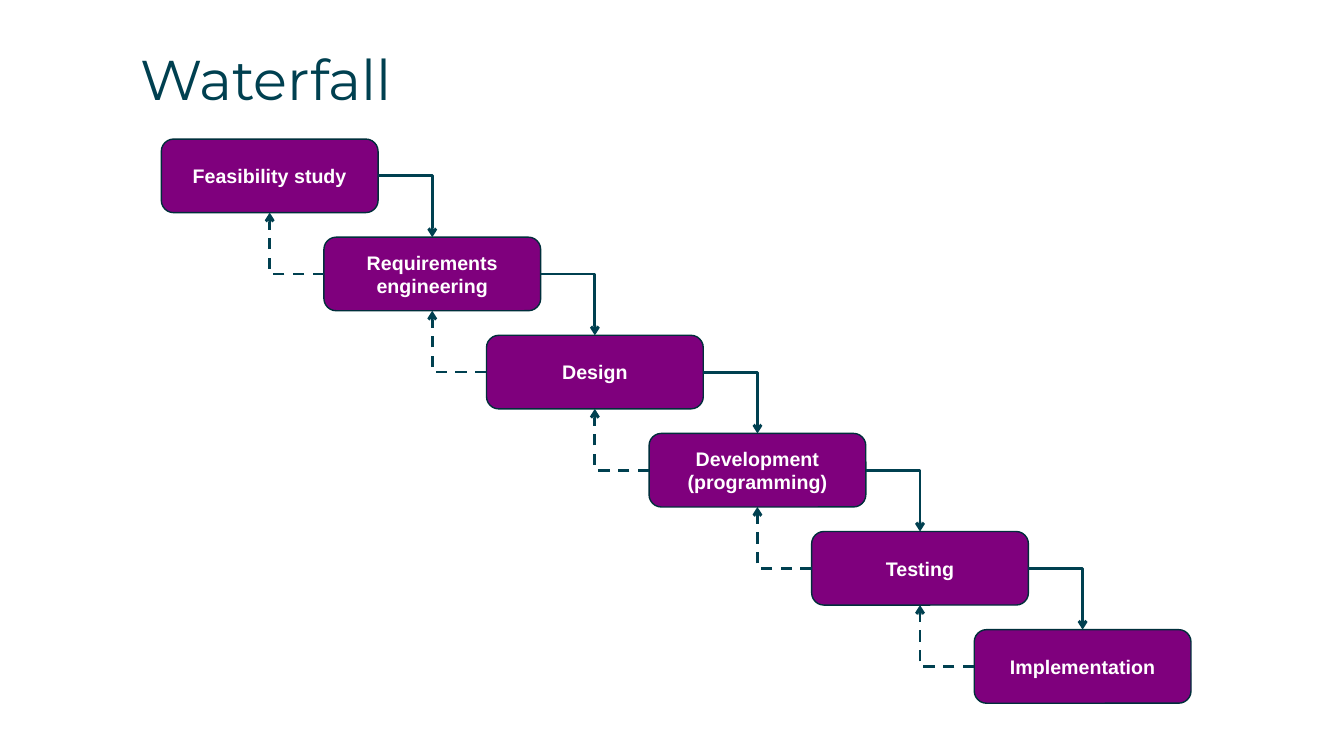
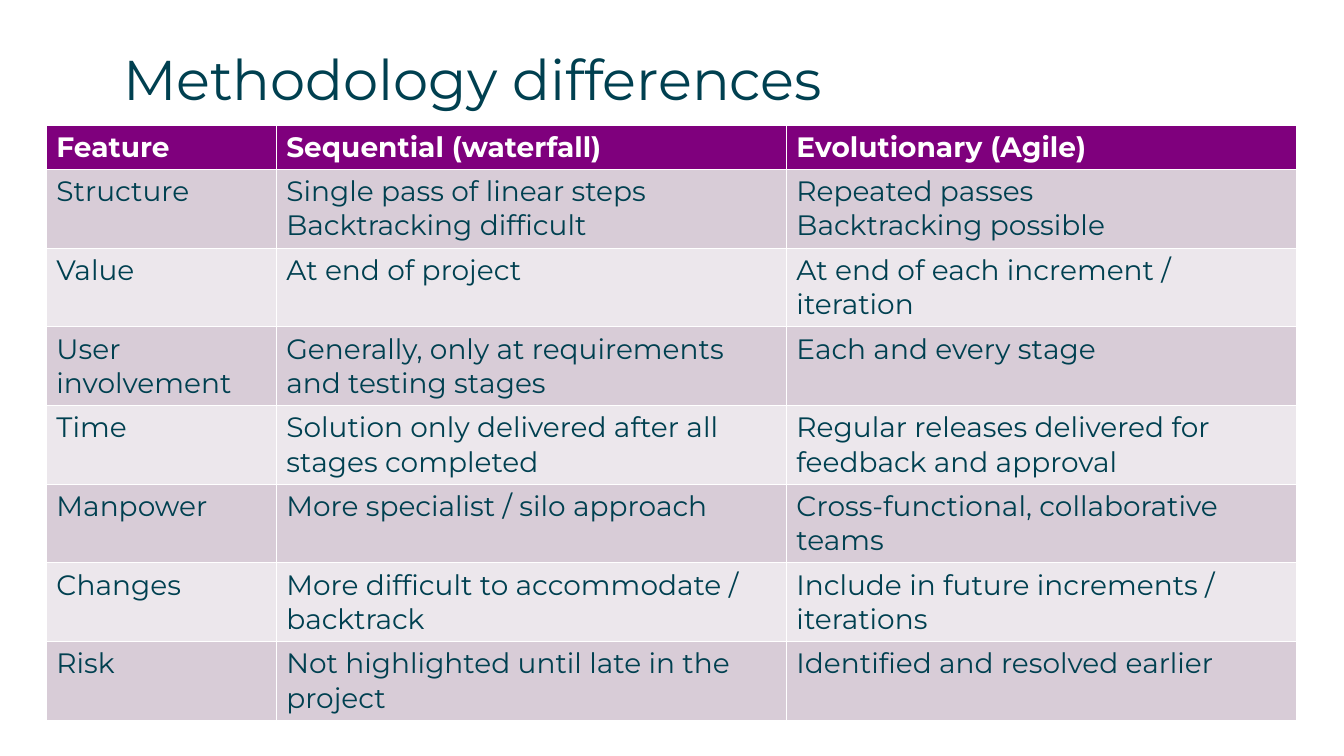
"""Build two slides comparing waterfall and evolutionary project methods."""
import dataclasses
import itertools

import lxml.etree
import pptx
import pptx.dml.color
import pptx.enum.dml
import pptx.enum.shapes
import pptx.enum.text
import pptx.oxml.ns
import pptx.util

Inches = pptx.util.Inches
Pt = pptx.util.Pt
RGB = pptx.dml.color.RGBColor.from_string
qn = pptx.oxml.ns.qn
TOP, LEFT, BOTTOM, RIGHT = range(4)


@dataclasses.dataclass(frozen=True)
class Theme:
    ink: RGB = RGB("004050")
    accent: RGB = RGB("7F007D")
    outline: RGB = RGB("002F3B")
    white: RGB = RGB("FFFFFF")
    bands: tuple = (RGB("D8CCD7"), RGB("ECE7EC"))
    font: str = "Montserrat"
    box_font: str = "Arial"
    title_size: Pt = Pt(40)
    table_size: Pt = Pt(20)
    box_size: Pt = Pt(14)


class Deck:
    def __init__(self, theme):
        self.theme = theme
        self.prs = pptx.Presentation()
        self.prs.slide_width = Inches(13.33)
        self.prs.slide_height = Inches(7.5)
        self.slide = None

    def add_run(self, p, text, name, size, color, bold=False):
        r = p.add_run()
        r.text = text
        r.font.name = name
        r.font.size = size
        r.font.color.rgb = color
        r.font.bold = bold

    def set_margins(self, tf, margin):
        tf.margin_left = tf.margin_right = margin
        tf.margin_top = tf.margin_bottom = margin

    def add_slide(self, title, left, width):
        t = self.theme
        self.slide = self.prs.slides.add_slide(self.prs.slide_layouts[5])
        sp = self.slide.shapes.title
        sp.left, sp.top = left, Inches(0.4)
        sp.width, sp.height = width, Inches(0.75)
        tf = sp.text_frame
        tf.word_wrap = True
        tf.auto_size = pptx.enum.text.MSO_AUTO_SIZE.NONE
        tf.vertical_anchor = pptx.enum.text.MSO_ANCHOR.MIDDLE
        self.set_margins(tf, 0)
        p = tf.paragraphs[0]
        p.alignment = pptx.enum.text.PP_ALIGN.LEFT
        self.add_run(p, title, t.font, t.title_size, t.ink)

    def add_box(self, text, left, top, width, height):
        t = self.theme
        sp = self.slide.shapes.add_shape(
            pptx.enum.shapes.MSO_SHAPE.ROUNDED_RECTANGLE, left, top, width, height)
        sp.shadow.inherit = False
        sp.fill.solid()
        sp.fill.fore_color.rgb = t.accent
        sp.line.color.rgb = t.outline
        sp.line.width = Pt(1)
        tf = sp.text_frame
        tf.word_wrap = True
        tf.vertical_anchor = pptx.enum.text.MSO_ANCHOR.MIDDLE
        self.set_margins(tf, Inches(0.04))
        p = tf.paragraphs[0]
        p.alignment = pptx.enum.text.PP_ALIGN.CENTER
        self.add_run(p, text, t.box_font, t.box_size, t.white, bold=True)
        return sp

    def add_elbow(self, start, start_side, end, end_side, dashed=False):
        cxn = self.slide.shapes.add_connector(
            pptx.enum.shapes.MSO_CONNECTOR.ELBOW, 0, 0, 0, 0)
        cxn.begin_connect(start, start_side)
        cxn.end_connect(end, end_side)
        cxn.line.color.rgb = self.theme.ink
        cxn.line.width = Pt(2)
        if dashed:
            cxn.line.dash_style = pptx.enum.dml.MSO_LINE.DASH
        props = cxn._element.spPr
        props.find(qn("a:prstGeom")).set("prst", "bentConnector2")
        lxml.etree.SubElement(props.find(qn("a:ln")), qn("a:tailEnd"), type="arrow")
        lxml.etree.SubElement(props, qn("a:effectLst"))

    def add_table(self, rows, left, top, widths, header_height, row_height):
        t = self.theme
        height = header_height + row_height * (len(rows) - 1)
        table = self.slide.shapes.add_table(
            len(rows), len(widths), left, top, sum(widths), height).table
        for column, width in zip(table.columns, widths):
            column.width = width
        for i, row in enumerate(rows):
            header = i == 0
            table.rows[i].height = header_height if header else row_height
            for cell, text in zip(table.rows[i].cells, row):
                cell.fill.solid()
                cell.fill.fore_color.rgb = t.accent if header else t.bands[(i - 1) % 2]
                tf = cell.text_frame
                for n, line in enumerate(text.split("\n")):
                    p = tf.add_paragraph() if n else tf.paragraphs[0]
                    color = t.white if header else t.ink
                    self.add_run(p, line, t.font, t.table_size, color, bold=header)


STAGES = ["Feasibility study", "Requirements engineering", "Design",
          "Development (programming)", "Testing", "Implementation"]

DIFFERENCES = [
    ("Feature", "Sequential (waterfall)", "Evolutionary (Agile)"),
    ("Structure", "Single pass of linear steps\nBacktracking difficult",
     "Repeated passes\nBacktracking possible"),
    ("Value", "At end of project", "At end of each increment / iteration"),
    ("User involvement", "Generally, only at requirements and testing stages",
     "Each and every stage"),
    ("Time", "Solution only delivered after all stages completed",
     "Regular releases delivered for feedback and approval"),
    ("Manpower", "More specialist / silo approach",
     "Cross-functional, collaborative teams"),
    ("Changes", "More difficult to accommodate / backtrack",
     "Include in future increments / iterations"),
    ("Risk", "Not highlighted until late in the project",
     "Identified and resolved earlier"),
]


def add_waterfall(deck):
    deck.add_slide("Waterfall", Inches(1.39), Inches(3.98))
    width, height = Inches(2.15), Inches(0.73)
    step_x, step_y = width * 3 // 4, height * 4 // 3
    boxes = [deck.add_box(stage, Inches(1.6) + i * step_x, Inches(1.38) + i * step_y,
                          width, height)
             for i, stage in enumerate(STAGES)]
    for upper, lower in itertools.pairwise(boxes):
        deck.add_elbow(upper, RIGHT, lower, TOP)
        deck.add_elbow(lower, LEFT, upper, BOTTOM, dashed=True)


def add_differences(deck):
    deck.add_slide("Methodology differences", Inches(1.22), Inches(7.78))
    widths = [Inches(2.28), Inches(5.06), Inches(5.06)]
    deck.add_table(DIFFERENCES, Inches(0.46), Inches(1.24), widths,
                   Inches(0.44), Inches(0.78))


def main():
    deck = Deck(Theme())
    add_waterfall(deck)
    add_differences(deck)
    deck.prs.save("out.pptx")


if __name__ == "__main__":
    main()
